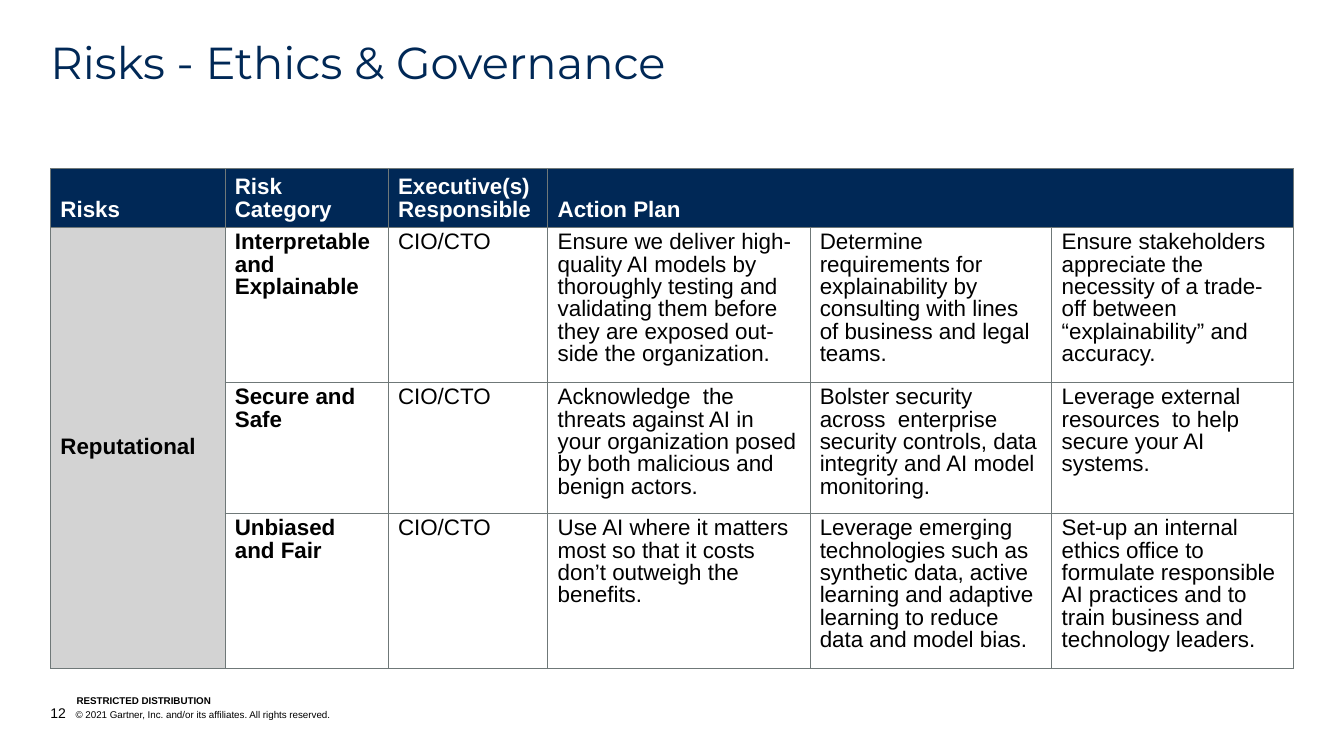
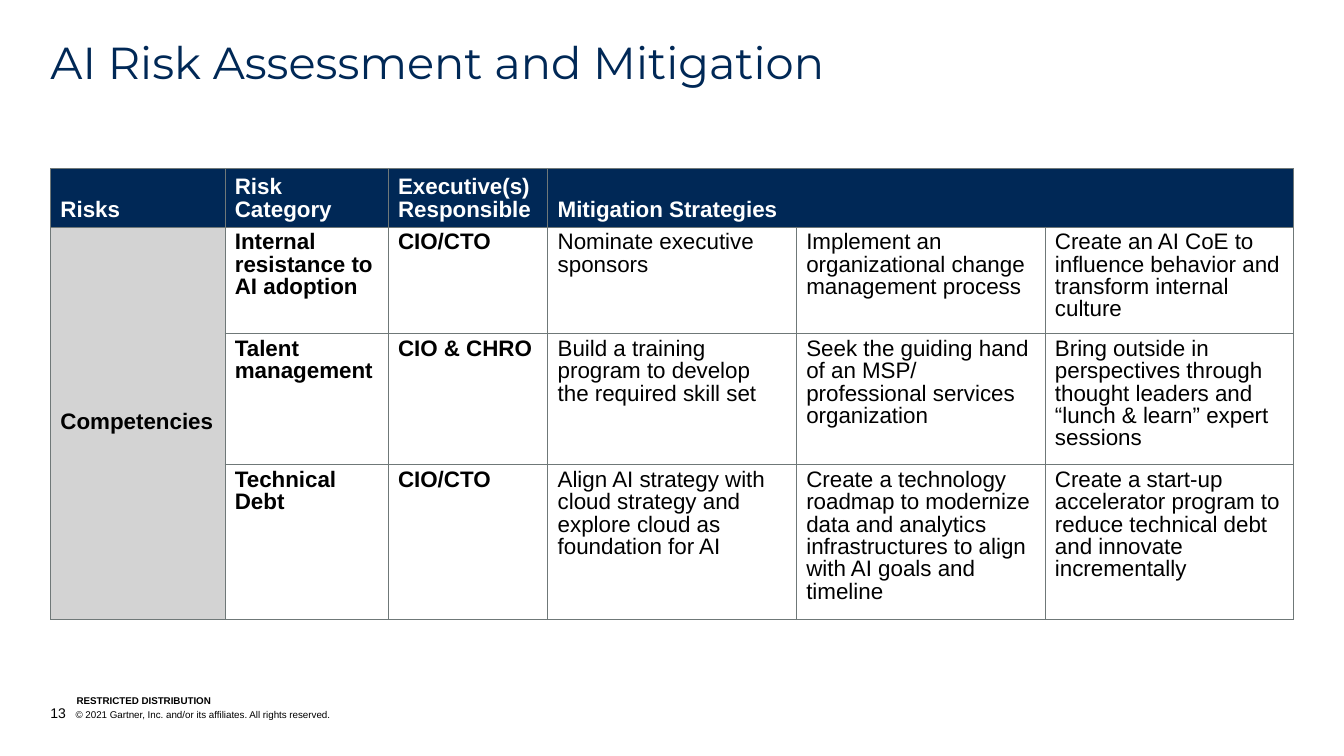
from lxml import etree
from pptx import Presentation
from pptx.dml.color import RGBColor
from pptx.enum import text as t
from pptx.oxml import ns
from pptx.util import Pt

# Shared style
NAVY = RGBColor(0x00, 0x28, 0x56)
WHITE = RGBColor(0xFF, 0xFF, 0xFF)
BLACK = RGBColor(0x00, 0x00, 0x00)
LIGHT_GREY = RGBColor(0xD3, 0xD3, 0xD3)
RULE_GREY = RGBColor(0x6F, 0x78, 0x78)
BODY_FONT, TITLE_FONT = "Arial", "Montserrat"
LINE_SPACING = 0.9

# Shared layout, in points
SLIDE_WIDTH, SLIDE_HEIGHT = 960, 540
MARGIN = 36
CONTENT_WIDTH = SLIDE_WIDTH - 2 * MARGIN
TITLE_BOX = (MARGIN, 28.8, CONTENT_WIDTH, 35.3)
TABLE_BOX = (MARGIN, 120.2, CONTENT_WIDTH)
FOOTER_BOX = (MARGIN, 496, 575, 19.5)
LABEL_WIDTHS = (124.6, 116.6, 114)
LINE_HEIGHT, ROW_PADDING = 16, 7.2

# Slide content
ETHICS = {
    "number": 12,
    "title": "Risks - Ethics & Governance",
    "header": ("Risks", "Risk\nCategory", "Executive(s)\nResponsible", "Action Plan"),
    "group": "Reputational",
    "bold_columns": (0, 1),
    "plan_widths": (187.2, 172.8, 172.8),
    "row_lines": (2, 6, 5, 6),
    "rows": (
        ("Interpretable\nand\nExplainable", "CIO/CTO",
         "Ensure we deliver high-quality AI models by thoroughly testing and "
         "validating them before they are exposed out-side the organization.",
         "Determine requirements for explainability by consulting with lines "
         "of business and legal teams.",
         "Ensure stakeholders appreciate the necessity of a trade-off between "
         "“explainability” and accuracy."),
        ("Secure and\nSafe", "CIO/CTO",
         "Acknowledge  the threats against AI in your organization posed by "
         "both malicious and benign actors.",
         "Bolster security across  enterprise security controls, data "
         "integrity and AI model monitoring.",
         "Leverage external resources  to help secure your AI systems."),
        ("Unbiased\nand Fair", "CIO/CTO",
         "Use AI where it matters most so that it costs don’t outweigh the benefits.",
         "Leverage emerging technologies such as synthetic data, active "
         "learning and adaptive learning to reduce data and model bias.",
         "Set-up an internal ethics office to formulate responsible AI "
         "practices and to train business and technology leaders."),
    ),
}
MITIGATION = {
    "number": 13,
    "title": "AI Risk Assessment and Mitigation",
    "header": ("Risks", "Risk Category", "Executive(s)\nResponsible",
               "Mitigation Strategies"),
    "group": "Competencies",
    "bold_columns": (0, 1, 2),
    "plan_widths": (177.6, 177.6, 177.6),
    "row_lines": (2, 4, 5, 6),
    "rows": (
        ("Internal resistance to AI adoption", "CIO/CTO",
         "Nominate executive sponsors",
         "Implement an organizational change management process",
         "Create an AI CoE to influence behavior and transform internal culture"),
        ("Talent management", "CIO & CHRO",
         "Build a training program to develop the required skill set",
         "Seek the guiding hand of an MSP/ professional services organization",
         "Bring outside in perspectives through thought leaders and "
         "“lunch & learn” expert sessions"),
        ("Technical Debt", "CIO/CTO",
         "Align AI strategy with cloud strategy and explore cloud as foundation for AI",
         "Create a technology roadmap to modernize data and analytics "
         "infrastructures to align with AI goals and timeline",
         "Create a start-up accelerator program to reduce technical debt and "
         "innovate incrementally"),
    ),
}


def style_font(font, size, color, bold=False, name=BODY_FONT):
    font.name, font.size, font.bold = name, Pt(size), bold
    font.color.rgb = color


def add_text_box(page, box, anchor=t.MSO_ANCHOR.TOP):
    """Add a wrapping box without insets and return its first paragraph."""
    frame = page.shapes.add_textbox(*map(Pt, box)).text_frame
    frame.word_wrap = True
    frame.vertical_anchor = anchor
    frame.margin_left = frame.margin_top = frame.margin_right = frame.margin_bottom = 0
    return frame.paragraphs[0]


def add_title(page, box, title):
    para = add_text_box(page, box)
    para.text = title
    para.line_spacing = LINE_SPACING
    style_font(para.runs[0].font, 32, NAVY, name=TITLE_FONT)


def add_footer(page, box, number):
    left, top, width, height = box

    # Distribution label
    label = add_text_box(page, (left + 18.7, top, 182, 8.6), t.MSO_ANCHOR.BOTTOM)
    label.text = "RESTRICTED DISTRIBUTION"
    style_font(label.runs[0].font, 7, BLACK, bold=True)

    # Page number and copyright, separated by a hanging indent
    line_height = 12.2
    para = add_text_box(page, (left, top + height - line_height, width, line_height),
                        t.MSO_ANCHOR.BOTTOM)
    properties = para._p.get_or_add_pPr()
    properties.set("marL", str(Pt(18)))
    properties.set("indent", str(Pt(-18)))
    notice = "\t© 2021 Gartner, Inc. and/or its affiliates. All rights reserved."
    for words, size in ((str(number), 10), (notice, 7)):
        span = para.add_run()
        span.text = words
        style_font(span.font, size, BLACK)


def set_borders(cell):
    properties = cell._tc.get_or_add_tcPr()
    for position, side in enumerate(("lnL", "lnR", "lnT", "lnB")):
        line = etree.Element(ns.qn(f"a:{side}"), w=str(Pt(0.25)))
        fill = etree.SubElement(line, ns.qn("a:solidFill"))
        etree.SubElement(fill, ns.qn("a:srgbClr"), val=str(RULE_GREY))
        properties.insert(position, line)


def fill_cell(cell, words, color, bold, anchor):
    cell.vertical_anchor = anchor
    para = cell.text_frame.paragraphs[0]
    para.text = words
    para.line_spacing = LINE_SPACING
    for span in para.runs:
        style_font(span.font, 16, color, bold)


def add_risk_table(page, box, content):
    left, top, width = box
    heights = [LINE_HEIGHT * lines + ROW_PADDING for lines in content["row_lines"]]
    widths = LABEL_WIDTHS + content["plan_widths"]
    table = page.shapes.add_table(len(heights), len(widths), Pt(left), Pt(top),
                                  Pt(width), Pt(sum(heights))).table
    table.horz_banding = False
    for column, column_width in zip(table.columns, widths):
        column.width = Pt(column_width)
    for row, row_height in zip(table.rows, heights):
        row.height = Pt(row_height)

    # Fills and borders
    for row_index, row in enumerate(table.rows):
        for column_index, cell in enumerate(row.cells):
            cell.fill.solid()
            cell.fill.fore_color.rgb = (NAVY if row_index == 0 else
                                        LIGHT_GREY if column_index == 0 else WHITE)
            set_borders(cell)

    # Spanning cells
    table.cell(0, 3).merge(table.cell(0, len(widths) - 1))
    table.cell(1, 0).merge(table.cell(len(heights) - 1, 0))

    # Wording
    for column_index, words in enumerate(content["header"]):
        fill_cell(table.cell(0, column_index), words, WHITE, True, t.MSO_ANCHOR.BOTTOM)
    fill_cell(table.cell(1, 0), content["group"], BLACK, True, t.MSO_ANCHOR.MIDDLE)
    for row_index, row in enumerate(content["rows"], start=1):
        for column_index, words in enumerate(row, start=1):
            fill_cell(table.cell(row_index, column_index), words, BLACK,
                      column_index in content["bold_columns"], t.MSO_ANCHOR.TOP)


def add_risk_slide(deck, content):
    page = deck.slides.add_slide(deck.slide_layouts[6])
    add_footer(page, FOOTER_BOX, content["number"])
    add_title(page, TITLE_BOX, content["title"])
    add_risk_table(page, TABLE_BOX, content)


def main():
    deck = Presentation()
    deck.slide_width, deck.slide_height = Pt(SLIDE_WIDTH), Pt(SLIDE_HEIGHT)
    for content in (ETHICS, MITIGATION):
        add_risk_slide(deck, content)
    deck.save("out.pptx")


if __name__ == "__main__":
    main()
